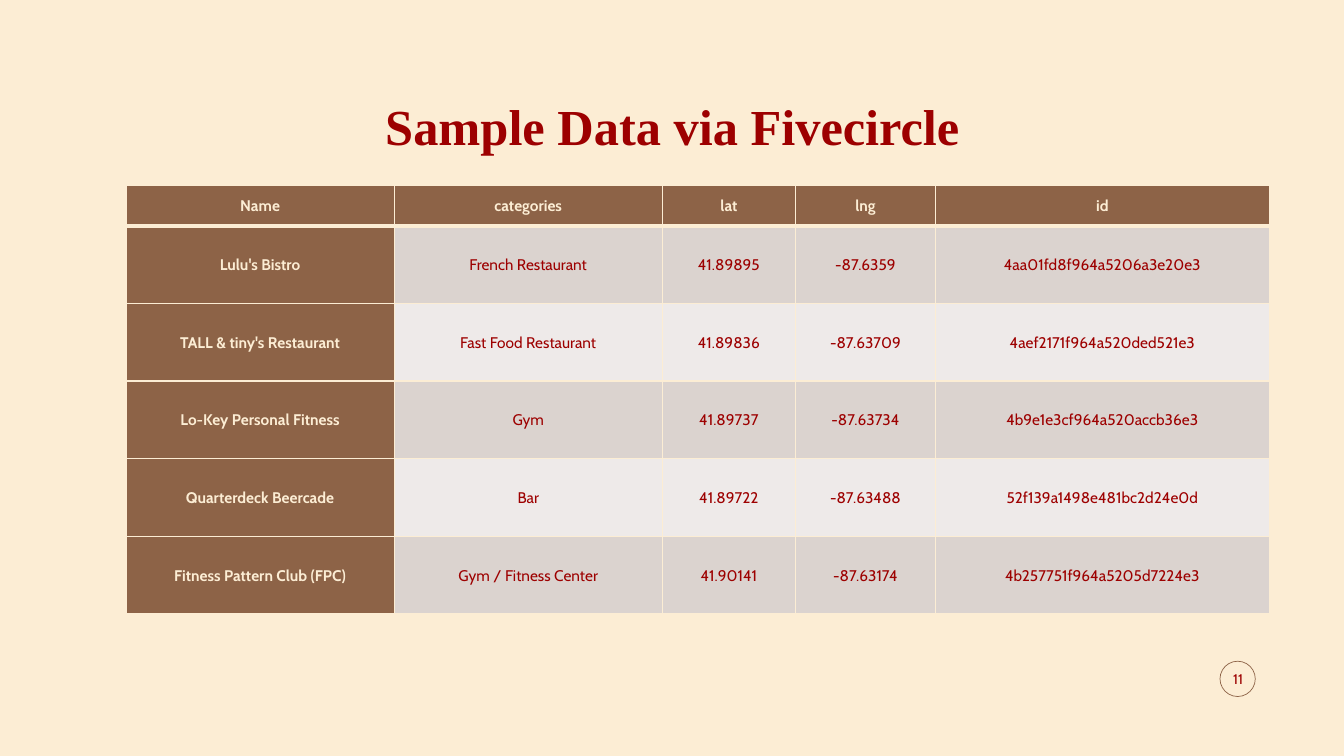
from dataclasses import dataclass

from lxml.etree import SubElement
from pptx import Presentation
from pptx.dml.color import RGBColor as RGB
from pptx.enum.shapes import MSO_SHAPE as SHAPE
from pptx.enum.text import MSO_ANCHOR as ANCHOR, PP_ALIGN as ALIGN
from pptx.oxml.ns import qn
from pptx.util import Inches, Pt


@dataclass(frozen=True)
class Theme:
    """Colours, fonts and type sizes of the slide."""

    cream: str = "FCEDD4"
    brown: str = "8D6347"
    red: str = "9D0000"
    bands: tuple = ("DBD3CF", "EEEAE9")
    title_font: str = "Times New Roman"
    body_font: str = "Cabin"
    title_size: int = 36
    table_size: int = 11
    number_size: int = 10


HEADER = ("Name", "categories", "lat", "lng", "id")
VENUES = (
    ("Lulu's Bistro", "French Restaurant", "41.89895", "-87.6359", "4aa01fd8f964a5206a3e20e3"),
    ("TALL & tiny's Restaurant", "Fast Food Restaurant", "41.89836", "-87.63709", "4aef2171f964a520ded521e3"),
    ("Lo-Key Personal Fitness", "Gym", "41.89737", "-87.63734", "4b9e1e3cf964a520accb36e3"),
    ("Quarterdeck Beercade", "Bar", "41.89722", "-87.63488", "52f139a1498e481bc2d24e0d"),
    ("Fitness Pattern Club (FPC)", "Gym / Fitness Center", "41.90141", "-87.63174", "4b257751f964a5205d7224e3"),
)
COLUMN_WIDTHS = (2.66, 2.66, 1.32, 1.39, 3.31)
HEADER_HEIGHT, VENUE_HEIGHT = 0.4, 0.77


def write(tf, text, *, font, size, color, bold=False, spacing=1.0):
    """Put one centred, formatted line into a text frame."""
    p = tf.paragraphs[0]
    p.alignment = ALIGN.CENTER
    p.line_spacing = spacing
    r = p.add_run()
    r.text = text
    r.font.name = font
    r.font.size = Pt(size)
    r.font.bold = bold
    r.font.color.rgb = RGB.from_string(color)


class SlideBuilder:
    """Adds styled elements to the current slide."""

    def __init__(self, prs, theme):
        """Start a blank slide with the theme background."""
        self.theme = theme
        self.s = prs.slides.add_slide(prs.slide_layouts[6])
        self.s.background.fill.solid()
        self.s.background.fill.fore_color.rgb = RGB.from_string(theme.cream)

    def text(self, text, box, *, anchor, **style):
        """Add a wrapping text box."""
        tf = self.s.shapes.add_textbox(*map(Inches, box)).text_frame
        tf.word_wrap = True
        tf.vertical_anchor = anchor
        write(tf, text, **style)

    def ring(self, box):
        """Add a thin unfilled circle."""
        sp = self.s.shapes.add_shape(SHAPE.OVAL, *map(Inches, box))
        sp.shadow.inherit = False
        sp.fill.background()
        sp.line.color.rgb = RGB.from_string(self.theme.brown)
        sp.line.width = Pt(0.5)

    def borders(self, cell, **widths):
        """Draw the cell edges in the background colour."""
        tc_pr = cell._tc.get_or_add_tcPr()
        for side in "LRTB":
            ln = SubElement(tc_pr, qn(f"a:ln{side}"), w=str(Pt(widths.get(side, 1))))
            fill = SubElement(ln, qn("a:solidFill"))
            SubElement(fill, qn("a:srgbClr"), val=self.theme.cream)

    def cell(self, cell, text, row, col):
        """Style a cell by its place in the table."""
        t = self.theme
        heading = row == 0 or col == 0
        self.borders(cell, T=3 if row == 1 else 1, B=3 if row == 0 else 1)
        cell.fill.solid()
        fill = t.brown if heading else t.bands[(row - 1) % 2]
        cell.fill.fore_color.rgb = RGB.from_string(fill)
        cell.vertical_anchor = ANCHOR.MIDDLE
        cell.margin_left = cell.margin_right = Inches(0.07)
        cell.margin_top = cell.margin_bottom = 0
        write(cell.text_frame, text, font=t.body_font, size=t.table_size,
              color=t.cream if heading else t.red, bold=heading, spacing=1.07)

    def table(self, rows, left, top, widths, heights):
        """Add a table with a header row and a heading column."""
        table = self.s.shapes.add_table(
            len(rows), len(widths), Inches(left), Inches(top),
            Inches(sum(widths)), Inches(sum(heights))).table
        for column, width in zip(table.columns, widths):
            column.width = Inches(width)
        for i, (values, height) in enumerate(zip(rows, heights)):
            table.rows[i].height = Inches(height)
            for j, value in enumerate(values):
                self.cell(table.cell(i, j), value, i, j)


def main():
    """Build and save the slide."""
    prs = Presentation()
    prs.slide_width, prs.slide_height = Inches(13.33), Inches(7.5)
    t = Theme()
    slide = SlideBuilder(prs, t)
    slide.ring((12.1, 6.56, 0.35, 0.35))
    slide.text("Sample Data via Fivecircle", (0.92, 0.83, 11.5, 0.77), anchor=ANCHOR.BOTTOM,
               font=t.title_font, size=t.title_size, color=t.red, bold=True, spacing=0.9)
    slide.text("11", (12.08, 6.54, 0.4, 0.4), anchor=ANCHOR.MIDDLE,
               font=t.body_font, size=t.number_size, color=t.red)
    slide.table((HEADER, *VENUES), 1.25, 1.84, COLUMN_WIDTHS,
                (HEADER_HEIGHT, *[VENUE_HEIGHT] * len(VENUES)))
    prs.save("out.pptx")


if __name__ == "__main__":
    main()
